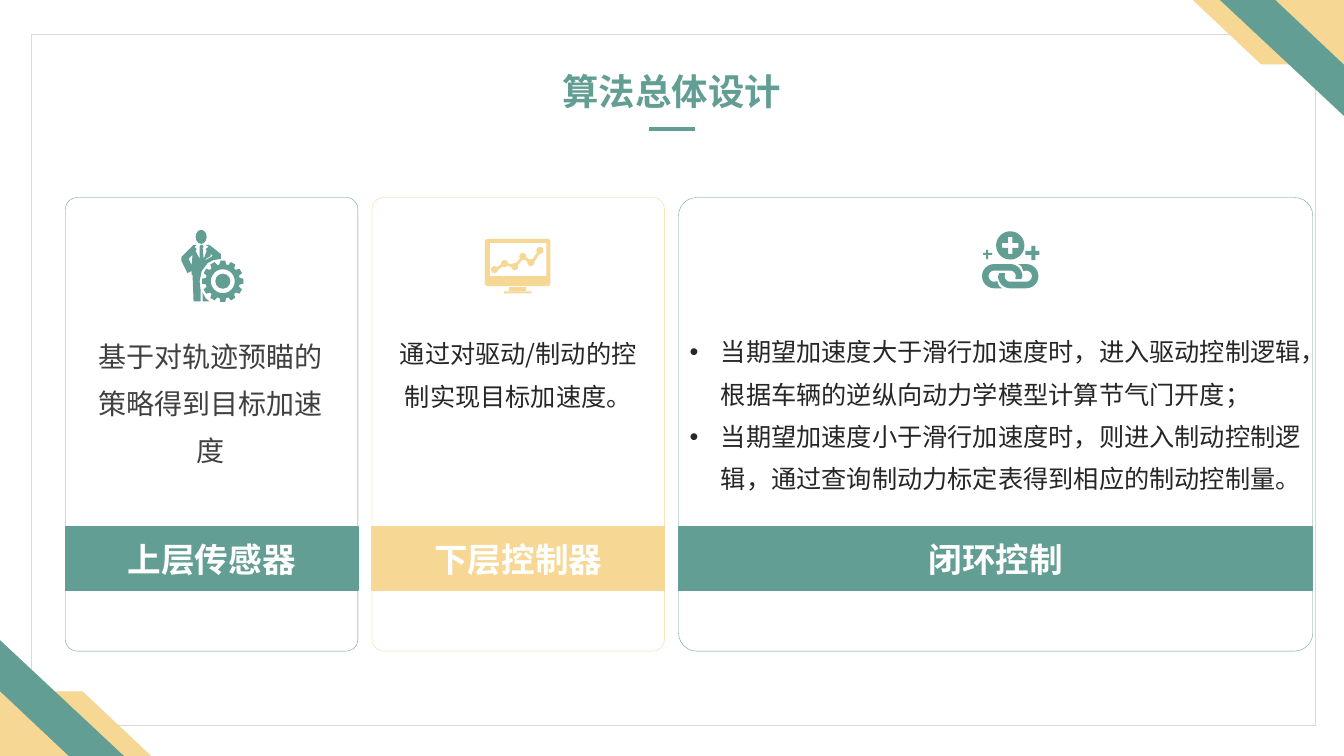
from math import cos, sin, radians

from lxml.etree import SubElement
from pptx import Presentation
from pptx.dml.color import RGBColor
from pptx.enum.shapes import MSO_CONNECTOR, MSO_SHAPE
from pptx.enum.text import MSO_ANCHOR, MSO_AUTO_SIZE, PP_ALIGN
from pptx.oxml.ns import qn
from pptx.util import Inches, Pt

GREEN = RGBColor(0x62, 0x9E, 0x94)
YELLOW = RGBColor(0xF6, 0xD7, 0x94)
WHITE = RGBColor(0xFF, 0xFF, 0xFF)
GREY = RGBColor(0xD9, 0xD9, 0xD9)
TEXT = RGBColor(0x26, 0x26, 0x26)
SOFT_TEXT = RGBColor(0x40, 0x40, 0x40)
CJK = "Noto Sans CJK SC"
WIDTH, HEIGHT = 13.33, 7.5


def write(p, text, size=18, color=TEXT, bold=False, font=CJK,
          align=PP_ALIGN.CENTER, spacing=None):
    p.alignment = align
    p.space_before = Pt(0)
    if spacing:
        p.line_spacing = spacing
    r = p.add_run()
    r.text = text
    r.font.size, r.font.bold, r.font.name = Pt(size), bold, font
    r.font.color.rgb = color
    SubElement(r.font._element, qn("a:ea")).set("typeface", CJK)


def place(sp, x, y, w, h):
    sp.left, sp.top, sp.width, sp.height = (Inches(v) for v in (x, y, w, h))


def paint(sp, fill=None, line=None, weight=1):
    sp.shadow.inherit = False
    if fill is None:
        sp.fill.background()
    else:
        sp.fill.solid()
        sp.fill.fore_color.rgb = fill
    if line is None:
        sp.line.fill.background()
    else:
        sp.line.color.rgb = line
        sp.line.width = Pt(weight)
    return sp


def add_shape(shapes, kind, x, y, w, h, **style):
    sp = shapes.add_shape(kind, Inches(x), Inches(y), Inches(w), Inches(h))
    return paint(sp, **style)


def add_polygon(shapes, contours, fill):
    """Contours are lists of points in inches; later ones may cut holes."""
    contours = [[(Inches(x), Inches(y)) for x, y in c] for c in contours]
    builder = shapes.build_freeform(*contours[0][0], scale=1)
    for i, points in enumerate(contours):
        if i:
            builder.move_to(*points[0])
        builder.add_line_segments(points[1:], close=True)
    paint(builder.convert_to_shape(), fill=fill)


def arc(cx, cy, radius, start, end, steps=12):
    angles = (radians(start + (end - start) * i / steps) for i in range(steps + 1))
    return [(cx + radius * cos(a), cy + radius * sin(a)) for a in angles]


class Icon:
    """A group drawn in hundredths of an inch from its top left corner."""

    def __init__(self, slide, x, y, color):
        self.shapes = slide.shapes.add_group_shape().shapes
        self.x, self.y, self.color = x, y, color

    def shape(self, kind, x, y, w, h):
        return add_shape(self.shapes, kind, self.x + x / 100, self.y + y / 100,
                         w / 100, h / 100, fill=self.color)

    def polygon(self, *contours):
        moved = [[(self.x + x / 100, self.y + y / 100) for x, y in c] for c in contours]
        add_polygon(self.shapes, moved, self.color)


def engineer_icon(slide, x, y, color):
    icon = Icon(slide, x, y, color)
    icon.shape(MSO_SHAPE.OVAL, 14, 0, 11, 14)
    body = [(39, 29), (39, 24), (34, 20), (29, 16), (27, 15), (24, 15), (27, 17),
            (24, 19), (25, 21), (22, 29), (21, 18), (22, 17), (21, 15), (19, 15),
            (18, 17), (18, 29), (14, 21), (15, 19), (13, 17), (15, 15), (12, 15),
            (10, 17), (0, 27), (0, 31), (6, 43), (10, 41), (10, 45), (11, 45),
            (12, 71), (19, 71), (19, 60), (18, 51), (20, 41), (26, 33), (32, 30)]
    pocket = [(29, 26), (29, 24), (31, 26), (24, 30), (24, 29)]
    elbow = [(10, 35), (9, 33), (7, 29), (11, 25)]
    icon.polygon(body, pocket, elbow)
    icon.polygon([(21, 62), (21, 71), (28, 71), (24, 68)])
    # Gear: twelve teeth, a ring and a hub
    cx, cy = 41, 51
    teeth = []
    for k in range(12):
        c, s = cos(radians(30 * k)), sin(radians(30 * k))
        outline = [(15.5, -3.5), (20.5, -2.5), (20.5, 2.5), (15.5, 3.5)]
        teeth.append([(cx + u * c - v * s, cy + u * s + v * c) for u, v in outline])
    icon.polygon(*teeth)
    ring = icon.shape(MSO_SHAPE.DONUT, cx - 17, cy - 17, 34, 34)
    ring.adjustments[0] = 0.15
    icon.shape(MSO_SHAPE.OVAL, cx - 7.5, cy - 7.5, 15, 15)


def monitor_icon(slide, x, y, color):
    icon = Icon(slide, x, y, color)
    icon.polygon([(2, 0), (63, 0), (65, 2), (65, 45), (63, 47), (2, 47), (0, 45), (0, 2)],
                 [(5, 4), (61, 4), (61, 37), (5, 37)])
    icon.shape(MSO_SHAPE.RECTANGLE, 24, 48, 17, 4)
    icon.shape(MSO_SHAPE.RECTANGLE, 19, 52, 27, 2)
    for dot in [(6, 27), (16, 21), (26, 24), (34, 14), (42, 20), (51, 8)]:
        icon.shape(MSO_SHAPE.OVAL, *dot, 7, 7)
    icon.polygon([(9, 30), (19, 23), (29, 26), (38, 16), (46, 22), (54, 10),
                  (56, 12), (47, 26), (38, 20), (30, 29), (20, 26), (11, 32)])


def link_icon(slide, x, y, color):
    icon = Icon(slide, x, y, color)
    link = ([(35, 33)] + arc(43, 45, 12, -90, 90) + arc(27, 45, 12, 90, 180)
            + [(16, 42), (22, 42)] + arc(27, 45, 5.5, 180, 90)
            + arc(43, 45, 5.5, 90, -90) + [(40, 40), (38, 35)])
    icon.polygon(link)
    icon.polygon([(54 - px, 90 - py) for px, py in link])
    plus = [(35, 17), (29, 17), (29, 23), (25, 23), (25, 17), (19, 17),
            (19, 12), (25, 12), (25, 6), (29, 6), (29, 12), (35, 12)]
    icon.polygon(arc(27, 14.5, 14, 0, 360, 36), plus)
    for bar in [(48, 15, 4, 14), (42, 20, 14, 4), (3, 19, 2, 9), (0, 22, 9, 2)]:
        icon.shape(MSO_SHAPE.RECTANGLE, *bar)


def corner(slide, turned):
    bands = [([(0, 6.86), (0.82, 6.86), (1.5, 7.5), (0, 7.5)], YELLOW),
             ([(0, 6.35), (1.23, 7.5), (0, 7.5)], GREEN),
             ([(0, 6.86), (0.68, 7.5), (0, 7.5)], YELLOW)]
    for points, color in bands:
        if turned:
            points = [(WIDTH - x, HEIGHT - y) for x, y in points]
        add_polygon(slide.shapes, [points], color)


def heading(slide, text, x, y, w, h):
    title = slide.shapes.title
    place(title, x, y, w, h)
    tf = title.text_frame
    tf.vertical_anchor, tf.auto_size = MSO_ANCHOR.TOP, MSO_AUTO_SIZE.NONE
    write(tf.paragraphs[0], text, size=26, color=GREEN, bold=True, font="Arial")
    mid, rule_y = x + w / 2, Inches(y + 0.64)
    rule = slide.shapes.add_connector(MSO_CONNECTOR.STRAIGHT, Inches(mid - 0.23), rule_y,
                                      Inches(mid + 0.23), rule_y)
    rule.line.color.rgb, rule.line.width = GREEN, Pt(3)
    SubElement(rule._element.spPr, qn("a:effectLst"))


def card(slide, label, color, x, y, w, h):
    panel = add_shape(slide.shapes, MSO_SHAPE.ROUNDED_RECTANGLE, x, y, w, h,
                      fill=WHITE, line=color, weight=0.25)
    panel.adjustments[0] = 0.04
    band = add_shape(slide.shapes, MSO_SHAPE.RECTANGLE, x, y + 3.27, w, 0.63,
                     fill=color, line=color)
    band.text_frame.vertical_anchor = MSO_ANCHOR.MIDDLE
    write(band.text_frame.paragraphs[0], label, size=24, color=WHITE, bold=True, font="Arial")


def card_text(slide, text, x, y, w, h, **style):
    tf = slide.shapes.add_textbox(Inches(x), Inches(y), Inches(w), Inches(h)).text_frame
    tf.word_wrap, tf.auto_size = True, MSO_AUTO_SIZE.SHAPE_TO_FIT_TEXT
    write(tf.paragraphs[0], text, spacing=1.4, **style)


def card_list(body, items, x, y, w, h):
    body.element.getparent().append(body.element)  # bring in front of the card
    place(body, x, y, w, h)
    tf = body.text_frame
    tf.vertical_anchor, tf.auto_size = MSO_ANCHOR.TOP, MSO_AUTO_SIZE.NONE
    for i, item in enumerate(items):
        p = tf.add_paragraph() if i else tf.paragraphs[0]
        write(p, item, align=PP_ALIGN.LEFT, spacing=1.4)
        pPr = p._p.get_or_add_pPr()
        pPr.set("marL", str(Inches(0.31)))
        pPr.set("indent", str(-Inches(0.31)))
        SubElement(pPr, qn("a:buFont")).set("typeface", "Arial")
        SubElement(pPr, qn("a:buChar")).set("char", "•")


def main():
    prs = Presentation()
    prs.slide_width, prs.slide_height = Inches(WIDTH), Inches(HEIGHT)
    slide = prs.slides.add_slide(prs.slide_layouts[1])

    # Frame, corners and title
    add_shape(slide.shapes, MSO_SHAPE.RECTANGLE, 0.31, 0.34, 12.74, 6.86, line=GREY)
    for turned in (True, False):
        corner(slide, turned)
    heading(slide, "算法总体设计", 4.56, 0.64, 4.21, 0.54)

    # Three cards
    top, height, narrow, wide, gap = 1.96, 4.5, 2.9, 6.29, 0.14
    sensor_x = 0.65
    control_x = sensor_x + narrow + gap
    loop_x = control_x + narrow + gap

    card(slide, "上层传感器", GREEN, sensor_x, top, narrow, height)
    card_text(slide, "基于对轨迹预瞄的策略得到目标加速度", sensor_x + 0.12, top + 1.23,
              2.64, 1.46, size=20, color=SOFT_TEXT, font="Arial")
    engineer_icon(slide, sensor_x + 1.15, top + 0.32, GREEN)

    card(slide, "下层控制器", YELLOW, control_x, top, narrow, height)
    card_text(slide, "通过对驱动/制动的控制实现目标加速度。", control_x + 0.13, top + 1.23, 2.64, 0.9)
    monitor_icon(slide, control_x + 1.12, top + 0.41, YELLOW)

    card(slide, "闭环控制", GREEN, loop_x, top, wide, height)
    card_list(slide.placeholders[1], [
        "当期望加速度大于滑行加速度时，进入驱动控制逻辑，根据车辆的逆纵向动力学模型计算节气门开度；",
        "当期望加速度小于滑行加速度时，则进入制动控制逻辑，通过查询制动力标定表得到相应的制动控制量。",
    ], loop_x + 0.01, top + 1.21, 6.33, 1.75)
    link_icon(slide, loop_x + 3.02, top + 0.33, GREEN)

    prs.save("out.pptx")


if __name__ == "__main__":
    main()
